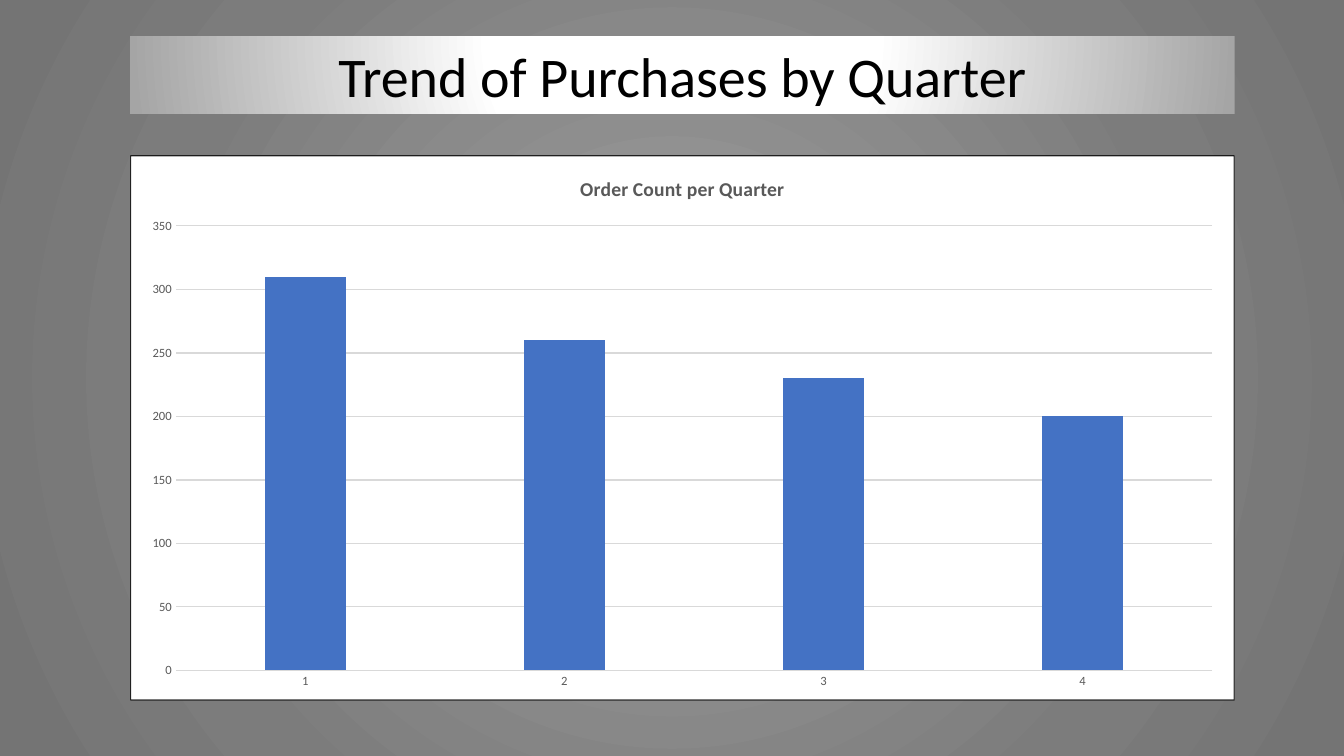
"""Build the slide showing the trend of purchases by quarter."""
from lxml import etree
from pptx import Presentation
from pptx.chart.data import CategoryChartData
from pptx.dml.color import RGBColor
from pptx.enum.chart import XL_CHART_TYPE, XL_TICK_MARK
from pptx.enum.shapes import MSO_SHAPE
from pptx.enum.text import MSO_ANCHOR, PP_ALIGN
from pptx.oxml import parse_xml
from pptx.oxml.ns import nsdecls, qn
from pptx.util import Pt

COLUMN_CLUSTERED = XL_CHART_TYPE.COLUMN_CLUSTERED
NO_TICK = XL_TICK_MARK.NONE
RECTANGLE = MSO_SHAPE.RECTANGLE
CENTER = PP_ALIGN.CENTER
MIDDLE = MSO_ANCHOR.MIDDLE

BLACK = RGBColor(0x00, 0x00, 0x00)
WHITE = RGBColor(0xFF, 0xFF, 0xFF)
SILVER = RGBColor(0xA5, 0xA5, 0xA5)
LIGHT_GRAY = RGBColor(0x93, 0x93, 0x93)
MID_GRAY = RGBColor(0x7C, 0x7C, 0x7C)
DARK_GRAY = RGBColor(0x74, 0x74, 0x74)
GRID_GRAY = RGBColor(0xD9, 0xD9, 0xD9)
LABEL_GRAY = RGBColor(0x59, 0x59, 0x59)
BAR_BLUE = RGBColor(0x44, 0x72, 0xC4)

FONT = "Calibri"
LEFT, WIDTH = Pt(92.9), Pt(789.1)


def set_circle_gradient(properties, stops, top, bottom):
    """Replace a solid fill with a circular gradient."""
    gradient = parse_xml(f'<a:gradFill {nsdecls("a")} rotWithShape="1"><a:gsLst/></a:gradFill>')
    for position, color in stops:
        stop = etree.SubElement(gradient[0], qn("a:gs"), pos=str(position * 1000))
        etree.SubElement(stop, qn("a:srgbClr"), val=str(color))
    circle = etree.SubElement(gradient, qn("a:path"), path="circle")
    etree.SubElement(circle, qn("a:fillToRect"), l="50000", t=str(top * 1000),
                     r="50000", b=str(bottom * 1000))
    properties.replace(properties.find(qn("a:solidFill")), gradient)


def set_font(font, size, color, bold=False):
    """Apply the slide typeface with a size, colour and weight."""
    font.name, font.size, font.bold = FONT, Pt(size), bold
    font.color.rgb = color


presentation = Presentation()
presentation.slide_width, presentation.slide_height = Pt(960), Pt(540)
slide = presentation.slides.add_slide(presentation.slide_layouts[6])

slide.background.fill.solid()
set_circle_gradient(slide.element.find(".//" + qn("p:bgPr")),
                    [(0, LIGHT_GRAY), (23, LIGHT_GRAY), (69, MID_GRAY), (97, DARK_GRAY)], 50, 50)

banner = slide.shapes.add_shape(RECTANGLE, LEFT, Pt(25.9), WIDTH, Pt(55.4))
banner.shadow.inherit = False
banner.line.fill.background()
banner.fill.solid()
set_circle_gradient(banner.element.spPr, [(0, WHITE), (35, WHITE), (100, SILVER)], -80, 180)
banner.text_frame.word_wrap = True
banner.text_frame.vertical_anchor = MIDDLE
heading = banner.text_frame.paragraphs[0]
heading.text = "Trend of Purchases by Quarter"
heading.alignment = CENTER
set_font(heading.font, 40, BLACK)

orders = CategoryChartData()
orders.categories = ["1", "2", "3", "4"]
orders.add_series("Series 1", [310, 260, 230, 200])
chart = slide.shapes.add_chart(COLUMN_CLUSTERED, LEFT, Pt(110.9), WIDTH, Pt(389.5), orders).chart
set_font(chart.font, 10, BLACK)
chart.has_legend = False
chart.has_title = True
title = chart.chart_title.text_frame.paragraphs[0]
title.text = "Order Count per Quarter"
set_font(title.font, 14, LABEL_GRAY, bold=True)

chart.element.find(qn("c:chart")).addnext(parse_xml(
    f'<c:spPr {nsdecls("c", "a")}><a:solidFill><a:srgbClr val="{WHITE}"/></a:solidFill>'
    f'<a:ln w="{Pt(0.75)}"><a:solidFill><a:srgbClr val="{BLACK}"><a:alpha val="80000"/>'
    '</a:srgbClr></a:solidFill></a:ln></c:spPr>'))

plot = chart.plots[0]
plot.vary_by_categories = False
plot.gap_width, plot.overlap = 219, -27
bars = plot.series[0].format.fill
bars.solid()
bars.fore_color.rgb = BAR_BLUE

for axis in (chart.category_axis, chart.value_axis):
    axis.major_tick_mark = axis.minor_tick_mark = NO_TICK
    set_font(axis.tick_labels.font, 9, LABEL_GRAY)
chart.value_axis.minimum_scale, chart.value_axis.maximum_scale = 0, 350
chart.value_axis.major_unit = 50
chart.value_axis.format.line.fill.background()
for line in (chart.category_axis.format.line, chart.value_axis.major_gridlines.format.line):
    line.color.rgb = GRID_GRAY
    line.width = Pt(0.75)

presentation.save("out.pptx")
